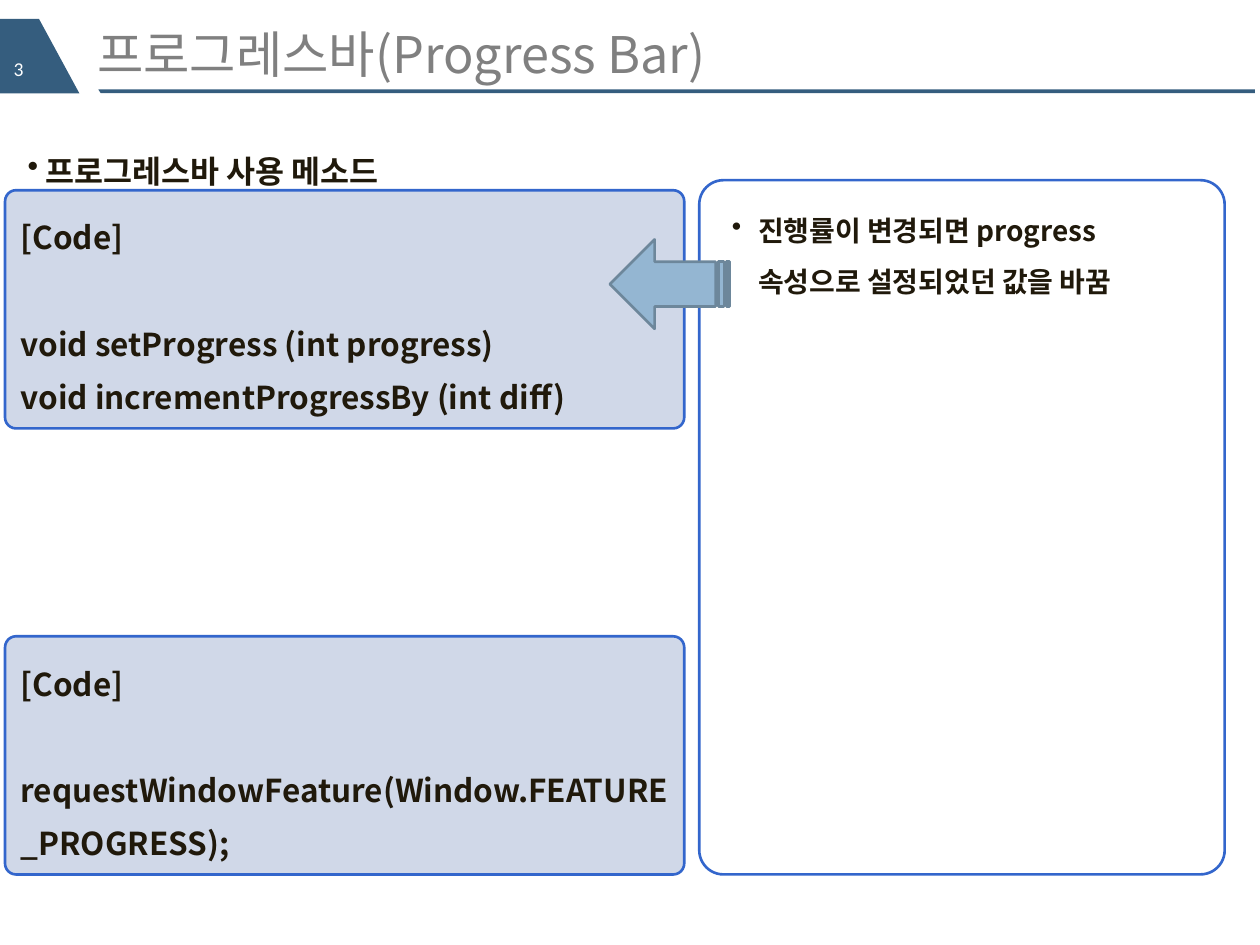
from lxml import etree
from pptx import Presentation
from pptx.dml.color import RGBColor
from pptx.enum.shapes import MSO_SHAPE
from pptx.enum.text import MSO_ANCHOR, PP_ALIGN
from pptx.oxml.ns import qn
from pptx.util import Inches, Pt

ROUND = MSO_SHAPE.ROUNDED_RECTANGLE
ARROW = MSO_SHAPE.STRIPED_RIGHT_ARROW
LEFT = PP_ALIGN.LEFT
TOP, MIDDLE = MSO_ANCHOR.TOP, MSO_ANCHOR.MIDDLE
SANS = "Noto Sans CJK KR"
NAVY, INK, BLUE = "355D7E", "20190B", "3366CC"


def color(code):
    return RGBColor.from_string(code)


def box_of(*sizes):
    return [Inches(size) for size in sizes]


def paint(shape, fill, line=None):
    shape.shadow.inherit = False
    shape.fill.solid()
    shape.fill.fore_color.rgb = color(fill)
    if line:
        shape.line.color.rgb = color(line)
        shape.line.width = Pt(1.5)
    else:
        shape.line.fill.background()


def style(para, size, tint=INK, bold=True, face=SANS):
    para.alignment = LEFT
    font = para.font
    font.size, font.bold, font.name = Pt(size), bold, face
    font.color.rgb = color(tint)
    props = para._p.get_or_add_pPr().find(qn("a:defRPr"))
    etree.SubElement(props, qn("a:ea")).set("typeface", face)


def bullet(para, indent):
    props = para._p.get_or_add_pPr()
    props.set("marL", str(Inches(indent)))
    props.set("indent", str(-Inches(indent)))
    mark = etree.Element(qn("a:buChar"))
    mark.set("char", "•")
    props.find(qn("a:defRPr")).addprevious(mark)


def add_text(slide, box, text):
    frame = slide.shapes.add_textbox(*box_of(*box)).text_frame
    frame.word_wrap = True
    frame.vertical_anchor = TOP
    para = frame.paragraphs[0]
    para.text = text
    return para


def add_free(slide, points):
    start, *rest = [box_of(*point) for point in points]
    path = slide.shapes.build_freeform(*start)
    path.add_line_segments(rest, close=True)
    paint(path.convert_to_shape(), NAVY)


def add_panel(slide, box, fill):
    panel = slide.shapes.add_shape(ROUND, *box_of(*box))
    panel.adjustments[0] = 0.046
    paint(panel, fill, BLUE)
    return panel


# Title band with page tab and rule
def add_header(slide, box, text, page):
    left, top, width, height = box
    base = top + height
    add_free(slide, [(left + 0.78, base - 0.03), (left + width, base - 0.03),
                     (left + width, base), (left + 0.8, base)])
    add_free(slide, [(left + 0.31, top), (left + 0.63, base),
                     (left, base), (left, top)])
    number = add_text(slide, (left + 0.01, top + 0.25, 0.58, 0.27), page)
    style(number, 11.2, "FFFFFF", False, "Calibri")

    title = slide.shapes.title
    title.left, title.top, title.width, title.height = box_of(
        left + 0.67, top + 0.1, 8.92, 0.35)
    title.text_frame.text = text
    title.text_frame.vertical_anchor = MIDDLE
    style(title.text_frame.paragraphs[0], 28.8, "808080", False)


# Code panel: label, then code one line below
def add_code(slide, box, lines):
    frame = add_panel(slide, box, "D0D8E8").text_frame
    frame.word_wrap = True
    frame.vertical_anchor = MIDDLE
    pitch = Pt(30.3)
    for index, line in enumerate(["[Code]"] + lines):
        para = frame.add_paragraph() if index else frame.paragraphs[0]
        para.text = line
        para.line_spacing = pitch
        if index == 0:
            para.space_after = pitch
        style(para, 18)


# Note panel with a bullet
def add_note(slide, box, text):
    left, top, width, height = box
    add_panel(slide, box, "FFFFFF")
    para = add_text(slide, (left + 0.16, top + 0.08,
                            width - 0.32, height - 0.31), text)
    para.line_spacing = Pt(29)
    style(para, 16)
    bullet(para, 0.21)


# Arrow from the note to the code
def add_arrow(slide, box):
    arrow = slide.shapes.add_shape(ARROW, *box_of(*box))
    arrow.rotation = 180
    paint(arrow, "94B6D2", "6D879B")


deck = Presentation()
deck.slide_width, deck.slide_height = box_of(10, 7.5)
slide = deck.slides.add_slide(deck.slide_layouts[5])

add_header(slide, (0, 0.15, 9.96, 0.59), "프로그레스바(Progress Bar)", "3")

topic = add_text(slide, (0.12, 1.12, 6.09, 0.38), "프로그레스바 사용 메소드")
topic.line_spacing = Pt(24)
style(topic, 18)
bullet(topic, 0.14)

codes = [
    (1.51, ["void setProgress (int progress)",
            "void incrementProgressBy (int diff)"]),
    (5.05, ["requestWindowFeature(Window.FEATURE_PROGRESS);"]),
]
for top, lines in codes:
    add_code(slide, (0.04, top, 5.39, 1.89), lines)

add_note(slide, (5.55, 1.43, 4.17, 5.51),
         "진행률이 변경되면 progress 속성으로 설정되었던 값을 바꿈")
add_arrow(slide, (4.84, 1.9, 0.95, 0.71))

deck.save("out.pptx")
